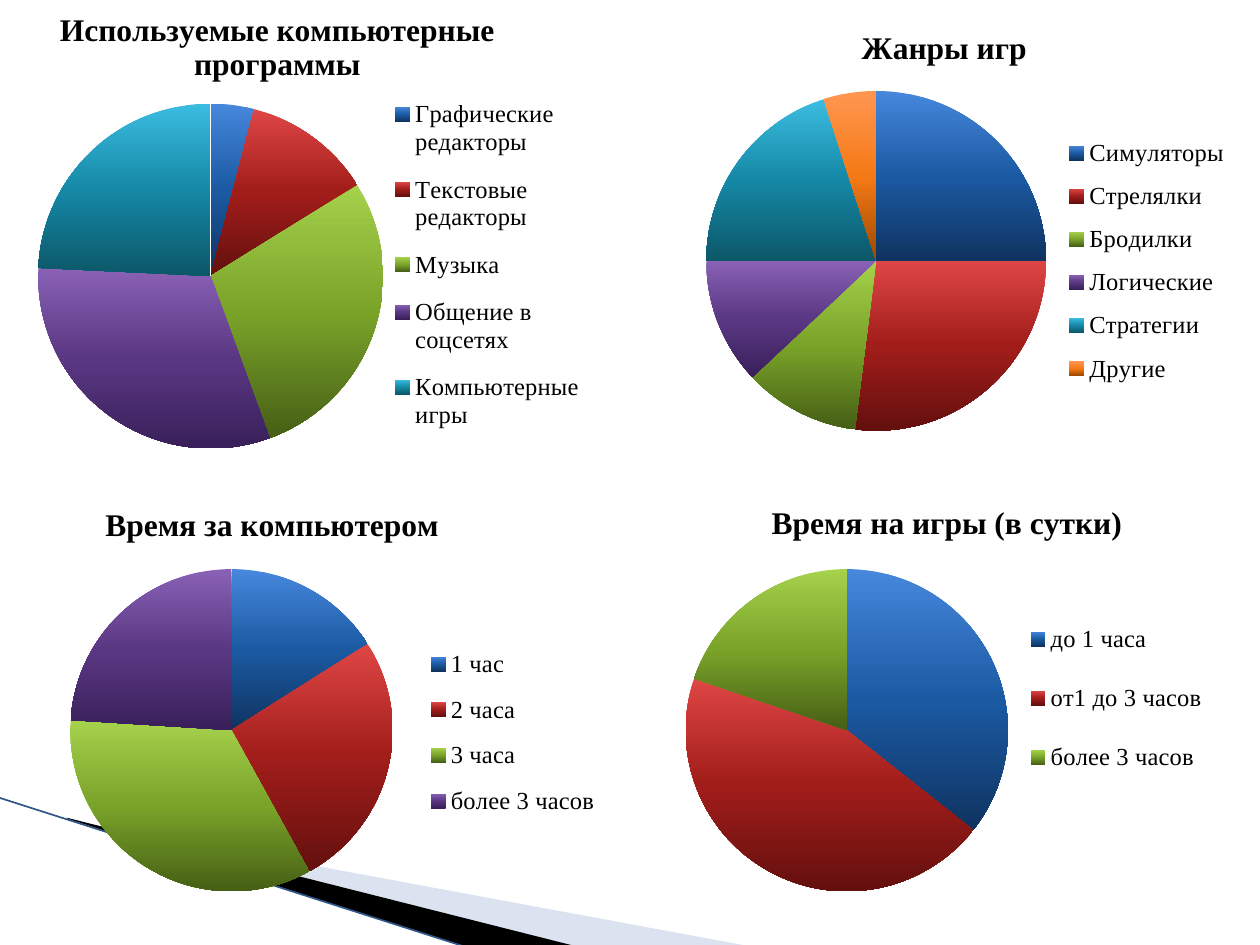
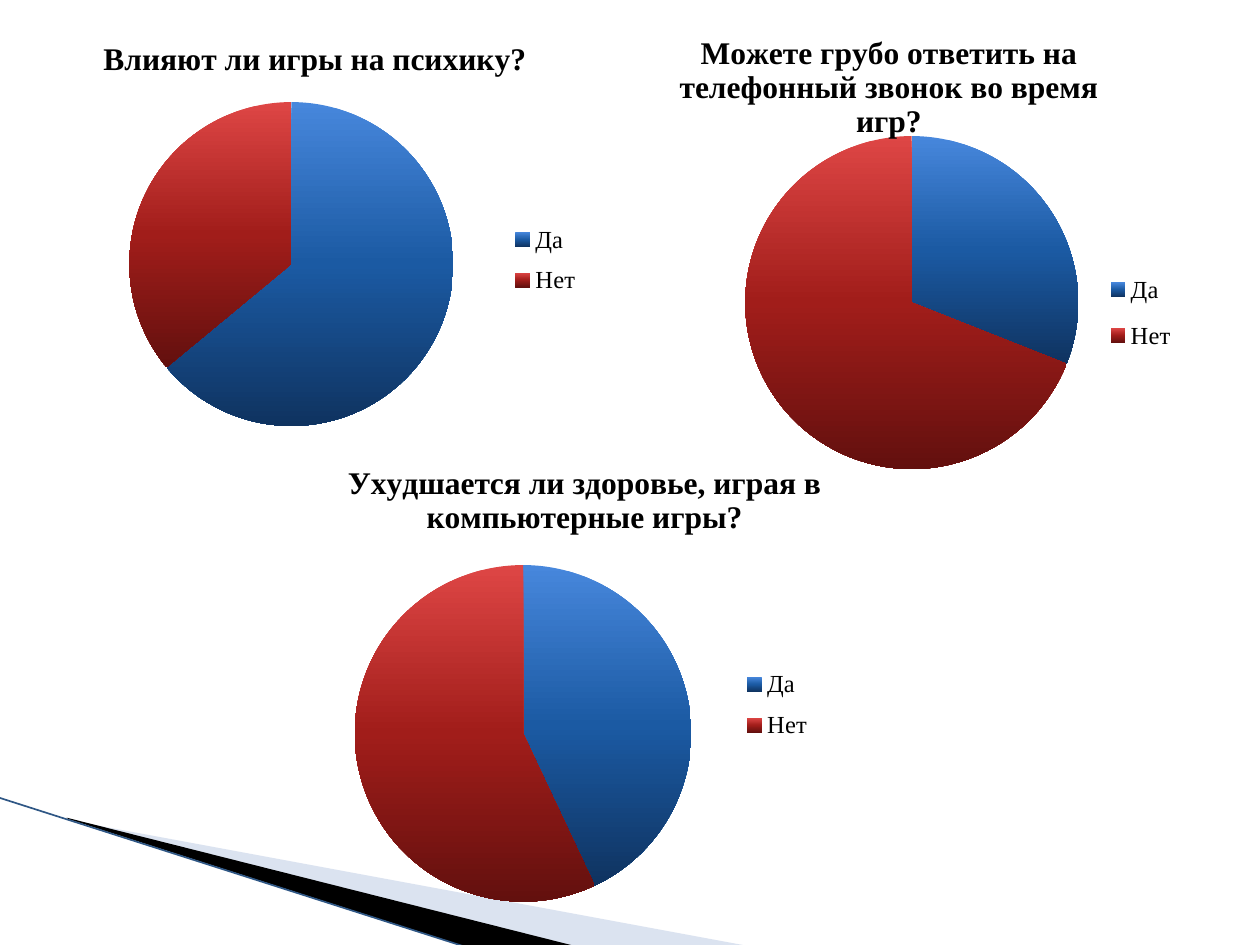
from copy import deepcopy
from dataclasses import dataclass

from pptx import Presentation
from pptx.chart.data import CategoryChartData
from pptx.dml.color import RGBColor
from pptx.enum.chart import XL_CHART_TYPE, XL_LEGEND_POSITION
from pptx.enum.shapes import MSO_CONNECTOR
from pptx.oxml import parse_xml
from pptx.oxml.ns import nsdecls, qn
from pptx.util import Inches, Pt

PIE = XL_CHART_TYPE.PIE
LEGEND_RIGHT = XL_LEGEND_POSITION.RIGHT
STRAIGHT = MSO_CONNECTOR.STRAIGHT


@dataclass(frozen=True)
class Theme:
    font: str = "Times New Roman"
    base_font: str = "DejaVu Sans Mono"
    title_size: int = 18
    legend_size: int = 14
    base_size: int = 10
    text: str = "000000"
    wedge_dark: str = "000000"
    wedge_light: str = "A7B9DB"
    wedge_alpha: int = 40
    edge: str = "2F5785"
    edge_width: float = 0.95
    # Top, middle and bottom colour of each slice
    slices: tuple = (
        ("4787DC", "1B5AA3", "0F3360"),
        ("DE4645", "A11D1A", "63100E"),
        ("A5D14B", "7AA329", "465F15"),
        ("8961B5", "5A3783", "39205A"),
        ("3BBCE0", "1588A6", "0C5768"),
        ("FF9650", "F57A16", "9C4800"),
    )


THEME = Theme()


@dataclass(frozen=True)
class Pie:
    """One survey question; layouts are fractions of its box."""
    title: str
    answers: dict
    box: tuple
    plot: tuple
    legend: tuple
    title_at: tuple = ()


HABITS = (
    Pie("Используемые компьютерные\nпрограммы",
        {"Графические редакторы": 4, "Текстовые редакторы": 12, "Музыка": 28,
         "Общение в соцсетях": 31, "Компьютерные игры": 24},
        box=(0.02, 0.02, 4.72, 3.65), plot=(0.06, 0.2, 0.58, 0.79),
        legend=(0.64, 0.17, 0.35, 0.8), title_at=(0.09, 0.01)),
    Pie("Жанры игр",
        {"Симуляторы": 25, "Стрелялки": 27, "Бродилки": 11,
         "Логические": 12, "Стратегии": 20, "Другие": 5},
        box=(5.24, 0, 4.57, 3.51), plot=(0.08, 0.18, 0.59, 0.82),
        legend=(0.69, 0.28, 0.31, 0.62), title_at=(0.34, 0.05)),
    Pie("Время за компьютером",
        {"1 час": 16, "2 часа": 26, "3 часа": 34, "более 3 часов": 24},
        box=(0.28, 3.83, 4.65, 3.39), plot=(0.06, 0.2, 0.55, 0.76),
        legend=(0.65, 0.35, 0.33, 0.47), title_at=(0.11, 0.04)),
    Pie("Время на игры (в сутки)",
        {"до 1 часа": 36, "от1 до 3 часов": 45, "более 3 часов": 20},
        box=(5.31, 3.83, 4.41, 3.39), plot=(0.03, 0.2, 0.58, 0.76),
        legend=(0.63, 0.26, 0.35, 0.49)),
)

EFFECTS = (
    Pie("Влияют ли игры на психику?", {"Да": 64, "Нет": 36},
        box=(0.12, 0.13, 5.04, 3.39), plot=(0.18, 0.2, 0.51, 0.76),
        legend=(0.76, 0.46, 0.15, 0.22), title_at=(0.13, 0.04)),
    Pie("Можете грубо ответить на телефонный звонок во время игр?",
        {"Да": 31, "Нет": 69},
        box=(5.16, 0.02, 4.72, 3.97), plot=(0.16, 0.25, 0.56, 0.7),
        legend=(0.75, 0.51, 0.15, 0.22), title_at=(0.04, 0.05)),
    Pie("Ухудшается ли здоровье, играя в компьютерные игры?",
        {"Да": 43, "Нет": 57},
        box=(2.01, 3.44, 5.04, 3.78), plot=(0.16, 0.26, 0.53, 0.74),
        legend=(0.75, 0.47, 0.15, 0.2), title_at=(0.14, 0.05)),
)


def color(value):
    return RGBColor.from_string(value)


def style_font(font, name, size, bold=False):
    font.name = name
    font.size = Pt(size)
    font.bold = bold
    font.color.rgb = color(THEME.text)


# Corner decoration
def add_wedge(slide, points, fill, alpha=None):
    corners = [(Inches(x), Inches(y)) for x, y in points]
    builder = slide.shapes.build_freeform(*corners[0], scale=1.0)
    builder.add_line_segments(corners[1:], close=True)
    wedge = builder.convert_to_shape()
    wedge.shadow.inherit = False
    wedge.line.fill.background()
    wedge.fill.solid()
    wedge.fill.fore_color.rgb = color(fill)
    if alpha is not None:
        tint = wedge._element.spPr.find(".//" + qn("a:srgbClr"))
        tint.append(parse_xml(f'<a:alpha {nsdecls("a")} val="{alpha * 1000}"/>'))


def add_corner(slide, left, top):
    def place(*offsets):
        return [(left + x, top + y) for x, y in offsets]

    add_wedge(slide, place((0.55, 0.18), (5.95, 1.18), (4.56, 1.18), (0.55, 0.17)),
              THEME.wedge_light, THEME.wedge_alpha)
    add_wedge(slide, place((0.53, 0.16), (4.57, 1.18), (3.72, 1.19), (0.54, 0.17)),
              THEME.wedge_dark)
    start, end = place((-0.01, 0), (3.71, 1.19))
    edge = slide.shapes.add_connector(STRAIGHT, *map(Inches, start + end))
    edge.line.color.rgb = color(THEME.edge)
    edge.line.width = Pt(THEME.edge_width)
    edge._element.spPr.append(parse_xml(f'<a:effectLst {nsdecls("a")}/>'))


# Charts
def set_layout(element, values, inner=False):
    """Place a chart part by fractions: left, top and, if given, width, height."""
    for old in element.findall(qn("c:layout")):
        element.remove(old)
    parts = "<c:layoutTarget val='inner'/>" if inner else ""
    parts += "<c:xMode val='edge'/><c:yMode val='edge'/>"
    parts += "".join(f"<c:{name} val='{value}'/>" for name, value in zip("xywh", values))
    layout = parse_xml(f'<c:layout {nsdecls("c")}><c:manualLayout>{parts}'
                       '</c:manualLayout></c:layout>')
    leading = (qn("c:tx"), qn("c:legendPos"))
    element.insert(sum(child.tag in leading for child in element), layout)


def paint_slice(chart, point, colors):
    fill = point.format.fill
    fill.gradient()
    fill.gradient_angle = 270
    stop_list = chart._chartSpace.xpath(".//c:dPt//a:gsLst")[-1]
    stop_list.insert(1, deepcopy(stop_list[0]))
    for stop, position, value in zip(fill.gradient_stops, (0, 0.5, 1), colors):
        stop.position = position
        stop.color.rgb = color(value)
    point.format.line.fill.background()


def add_pie(slide, pie):
    data = CategoryChartData()
    data.categories = list(pie.answers)
    data.add_series("Series 1", list(pie.answers.values()))
    frame = slide.shapes.add_chart(PIE, *map(Inches, pie.box), data)
    chart = frame.chart
    style_font(chart.font, THEME.base_font, THEME.base_size)

    # Title
    chart.has_title = True
    chart.chart_title.include_in_layout = False
    text_frame = chart.chart_title.text_frame
    text_frame.text = pie.title
    for paragraph in text_frame.paragraphs:
        for run in paragraph.runs:
            style_font(run.font, THEME.font, THEME.title_size, bold=True)

    # Legend
    chart.has_legend = True
    chart.legend.position = LEGEND_RIGHT
    chart.legend.include_in_layout = False
    style_font(chart.legend.font, THEME.font, THEME.legend_size)

    # Slices
    plot = chart.plots[0]
    plot.vary_by_categories = True
    for index in range(len(pie.answers)):
        paint_slice(chart, plot.series[0].points[index], THEME.slices[index])

    # Positions inside the chart box
    chart_element = chart._chartSpace.find(qn("c:chart"))
    set_layout(chart_element.find(qn("c:plotArea")), pie.plot, inner=True)
    set_layout(chart_element.find(qn("c:legend")), pie.legend)
    if pie.title_at:
        set_layout(chart_element.find(qn("c:title")), pie.title_at)


def add_survey_slide(presentation, pies):
    slide = presentation.slides.add_slide(presentation.slide_layouts[6])
    add_corner(slide, 0, 6.33)
    for pie in pies:
        add_pie(slide, pie)


def main():
    presentation = Presentation()
    presentation.slide_width = Inches(10)
    presentation.slide_height = Inches(7.5)
    for pies in (HABITS, EFFECTS):
        add_survey_slide(presentation, pies)
    presentation.save("out.pptx")


if __name__ == "__main__":
    main()
